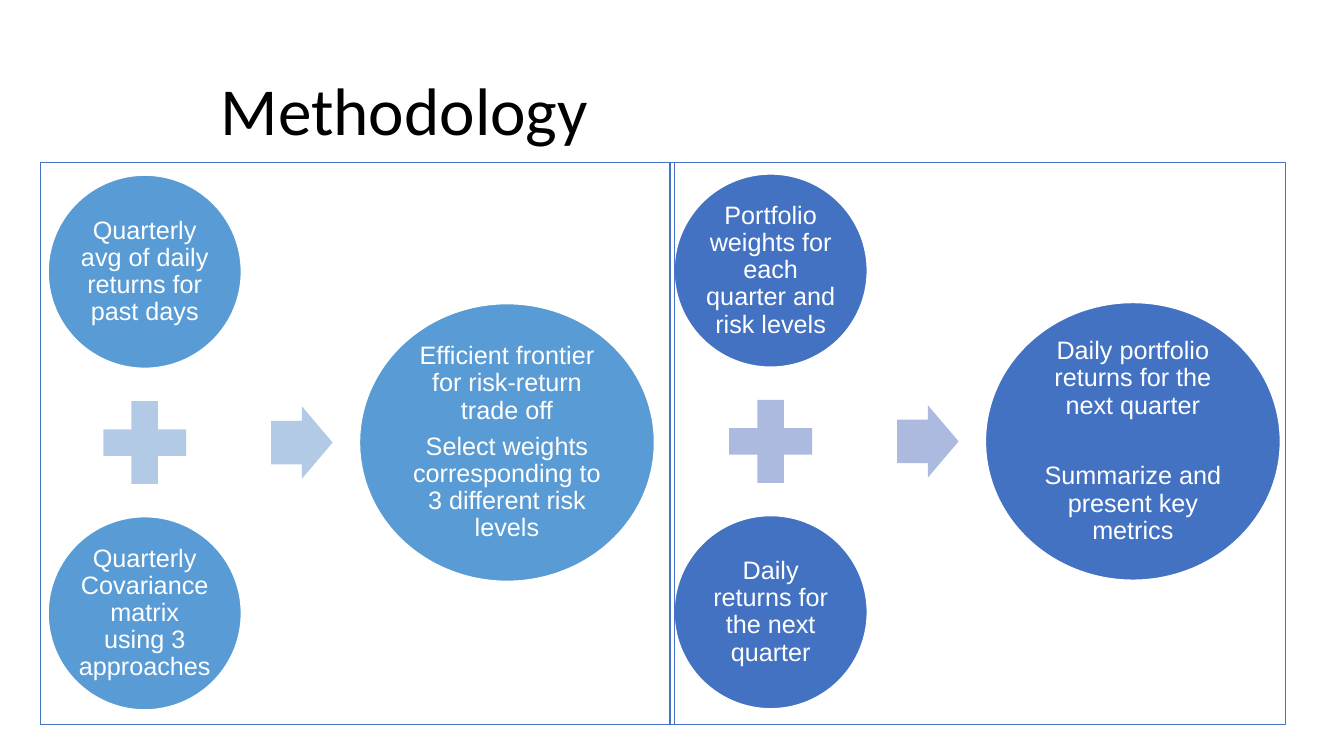
import pptx
import pptx.util
import pptx.dml.color
import pptx.enum.shapes
import pptx.enum.text

Pt = pptx.util.Pt
Shape = pptx.enum.shapes.MSO_SHAPE
Align = pptx.enum.text.PP_ALIGN
Anchor = pptx.enum.text.MSO_ANCHOR

colours = {
    "black": "000000",
    "white": "FFFFFF",
    "frame": "4472C4",
    "light blue": "599BD5",
    "pale blue": "B3CAE7",
    "deep blue": "4372C3",
    "pale indigo": "ABBADE",
}


def add_figure(kind, place, fill=None, line=None, width=0):
    figure = page.shapes.add_shape(kind, *[Pt(length) for length in place])
    figure.shadow.inherit = False
    for part, colour in ((figure.fill, fill), (figure.line.fill, line)):
        if colour:
            part.solid()
            part.fore_color.rgb = pptx.dml.color.RGBColor.from_string(colours[colour])
        else:
            part.background()
    if line:
        figure.line.width = Pt(width)
    return figure


def write_text(box, lines, margins, size, face, colour, align):
    frame = box.text_frame
    frame_format = {
        "word_wrap": True,
        "auto_size": pptx.enum.text.MSO_AUTO_SIZE.NONE,
        "vertical_anchor": Anchor.MIDDLE,
        "margin_left": Pt(margins[0]),
        "margin_right": Pt(margins[0]),
        "margin_top": Pt(margins[1]),
        "margin_bottom": Pt(margins[1]),
    }
    for name, value in frame_format.items():
        setattr(frame, name, value)
    for index, (text, gap) in enumerate(lines):
        para = frame.add_paragraph() if index else frame.paragraphs[0]
        para_format = {"alignment": align, "line_spacing": 0.9, "space_before": Pt(gap)}
        for name, value in para_format.items():
            setattr(para, name, value)
        span = para.add_run()
        span.text = text
        for name, value in {"size": Pt(size), "name": face}.items():
            setattr(span.font, name, value)
        span.font.color.rgb = pptx.dml.color.RGBColor.from_string(colours[colour])


deck = pptx.Presentation()
deck.slide_width = Pt(960)
deck.slide_height = Pt(540)
page = deck.slides.add_slide(deck.slide_layouts[5])

title = page.shapes.title
title_place = {"left": 150.5, "top": 28.8, "width": 743, "height": 104.4}
for name, length in title_place.items():
    setattr(title, name, Pt(length))
write_text(title, [("Methodology", 0)], (7.2, 3.6), 48, "Calibri", "black", Align.LEFT)

stages = [
    {
        "left": 33.9, "top": 124.6, "main": "light blue", "pale": "pale blue",
        "inputs": ["Quarterly avg of daily returns for past days",
                   "Quarterly Covariance matrix using 3 approaches"],
        "result": [("Efficient frontier for risk-return trade off", 0),
                   ("Select weights corresponding to 3 different risk levels", 6.3)],
    },
    {
        "left": 481, "top": 123.8, "main": "deep blue", "pale": "pale indigo",
        "inputs": ["Portfolio weights for each quarter and risk levels",
                   "Daily returns for the next quarter"],
        "result": [("Daily portfolio returns for the next quarter", 0),
                   ("Summarize and present key metrics", 31.2)],
    },
]
diameter = 139
input_step = 244
plus_size = 80.6
arrow_width, arrow_height = 43.9, 51.8
result_width, result_height = 211.7, 199.4

for stage in stages:
    left, top = stage["left"], stage["top"]
    middle = top + (input_step + diameter) / 2
    circles = [
        ((left, top + index * input_step, diameter, diameter), [(text, 0)])
        for index, text in enumerate(stage["inputs"])
    ]
    result_place = (left + 222.4, middle - result_height / 2, result_width, result_height)
    circles.append((result_place, stage["result"]))
    for place, lines in circles:
        circle = add_figure(Shape.OVAL, place, stage["main"], "white", 2)
        write_text(circle, lines, (1.4, 1.4), 18, "Arial", "white", Align.CENTER)

    plus_place = (left + (diameter - plus_size) / 2, middle - plus_size / 2, plus_size, plus_size)
    plus = add_figure(Shape.MATH_PLUS, plus_place, stage["pale"])
    plus.adjustments[0] = 0.235
    arrow_place = (left + 159.8, middle - arrow_height / 2, arrow_width, arrow_height)
    arrow = add_figure(Shape.RIGHT_ARROW, arrow_place, stage["pale"])
    arrow.adjustments[0] = 0.6
    arrow.adjustments[1] = 0.5

for left, width in ((28.6, 453), (478.6, 440)):
    add_figure(Shape.RECTANGLE, (left, 116, width, 401.8), line="frame", width=0.75)

deck.save("out.pptx")
